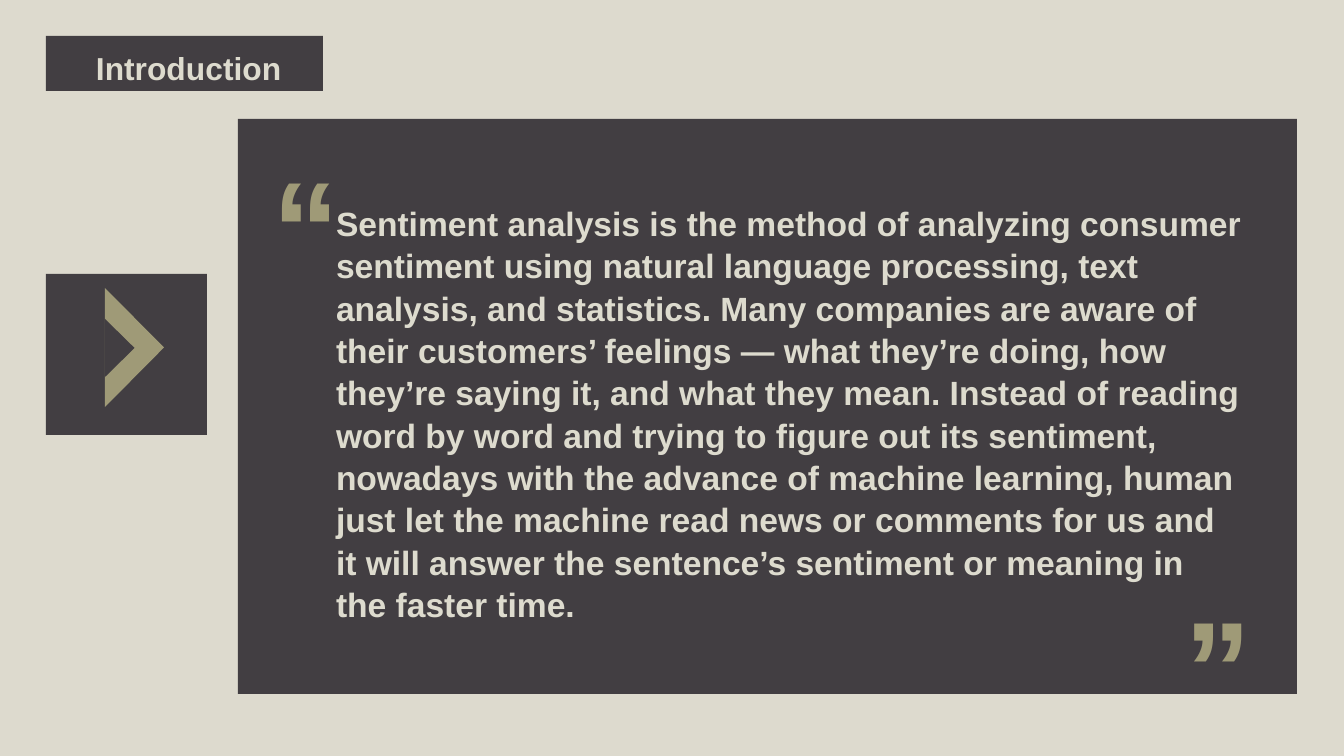
from pptx import Presentation
from pptx.dml.color import RGBColor
from pptx.enum.shapes import MSO_SHAPE
from pptx.enum.text import MSO_ANCHOR, MSO_AUTO_SIZE, PP_ALIGN
from pptx.util import Emu, Pt

PX_PER_INCH = 134.4
BEIGE = RGBColor(0xDD, 0xDA, 0xCE)
CREAM = RGBColor(0xDD, 0xDB, 0xCE)
DARK = RGBColor(0x42, 0x3E, 0x42)
OLIVE = RGBColor(0x9F, 0x9A, 0x77)

QUOTE = (
    "Sentiment analysis is the method of analyzing consumer sentiment using "
    "natural language processing, text analysis, and statistics. Many companies "
    "are aware of their customers’ feelings — what they’re doing, how they’re "
    "saying it, and what they mean. Instead of reading word by word and trying "
    "to figure out its sentiment, nowadays with the advance of machine learning, "
    "human just let the machine read news or comments for us and it will answer "
    "the sentence’s sentiment or meaning in the faster time."
)


def px(n):
    return Emu(round(n * 914400 / PX_PER_INCH))


def add_block(shapes, kind, box, color, rotation=0):
    sp = shapes.add_shape(kind, *map(px, box))
    sp.shadow.inherit = False
    sp.fill.solid()
    sp.fill.fore_color.rgb = color
    sp.line.fill.background()
    sp.rotation = rotation


def set_text(sp, text, size, color, inset_x, inset_y, auto_size):
    tf = sp.text_frame
    tf.text = text
    tf.word_wrap = True
    tf.auto_size = auto_size
    tf.vertical_anchor = MSO_ANCHOR.TOP
    tf.margin_left = tf.margin_right = px(inset_x)
    tf.margin_top = tf.margin_bottom = px(inset_y)
    p = tf.paragraphs[0]
    p.alignment = PP_ALIGN.LEFT
    p.line_spacing = 1.05
    p.space_before = Pt(0)
    font = p.runs[0].font
    font.name = "Arial"
    font.size = Pt(size)
    font.bold = True
    font.color.rgb = color


def add_text(s, box, text, size, color, inset_x, inset_y):
    sp = s.shapes.add_textbox(*map(px, box))
    set_text(sp, text, size, color, inset_x, inset_y,
             MSO_AUTO_SIZE.SHAPE_TO_FIT_TEXT)


def add_chevron(s):
    """A large triangle with a smaller one cut out of its left side."""
    group = s.shapes.add_group_shape()
    triangle = MSO_SHAPE.ISOSCELES_TRIANGLE
    add_block(group.shapes, triangle, (75, 318, 119, 59), OLIVE, 90)
    add_block(group.shapes, triangle, (90, 333, 59, 30), DARK, 90)


def place_title(s, box, text):
    title = s.shapes.title
    title.left, title.top, title.width, title.height = map(px, box)
    set_text(title, text, 17, CREAM, 10, 5, MSO_AUTO_SIZE.NONE)
    # Bring the title in front of its dark label
    s.shapes._spTree.append(title._element)


def main():
    prs = Presentation()
    prs.slide_width, prs.slide_height = px(1344), px(756)
    s = prs.slides.add_slide(prs.slide_layouts[5])
    s.background.fill.solid()
    s.background.fill.fore_color.rgb = BEIGE

    add_block(s.shapes, MSO_SHAPE.RECTANGLE, (46, 274, 161, 161), DARK)
    add_block(s.shapes, MSO_SHAPE.RECTANGLE, (238, 119, 1059, 575), DARK)
    for mark, left, top in (("“", 263, 129), ("”", 1175, 569)):
        add_text(s, (left, top, 188, 173), mark, 72, OLIVE, 10, 5)
    add_chevron(s)
    add_block(s.shapes, MSO_SHAPE.RECTANGLE, (46, 36, 277, 55), DARK)
    place_title(s, (86, 42, 223, 55), "Introduction")
    add_text(s, (323, 188, 934, 434), QUOTE, 18, CREAM, 13, 13)

    prs.save("out.pptx")


if __name__ == "__main__":
    main()
